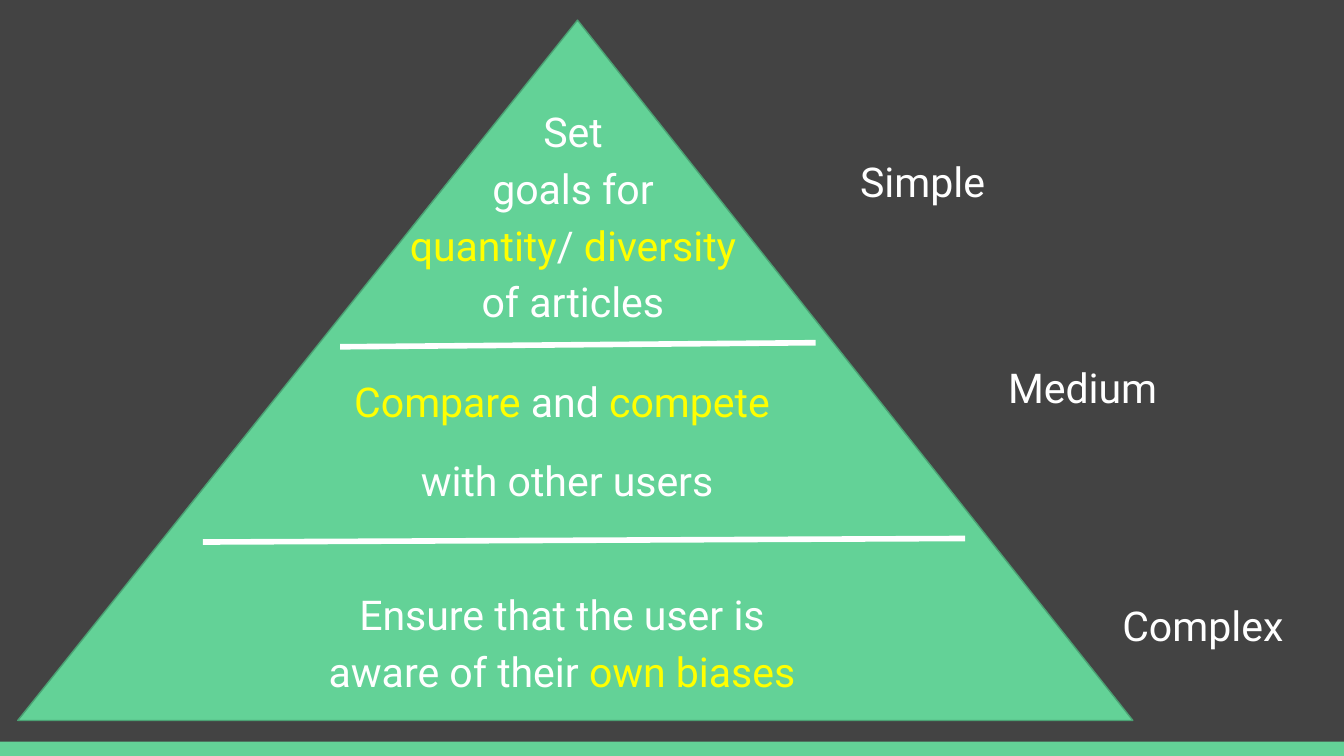
from lxml import etree
from pptx import Presentation
from pptx.dml.color import RGBColor
from pptx.enum.shapes import MSO_CONNECTOR, MSO_SHAPE
from pptx.enum.text import MSO_ANCHOR, PP_ALIGN
from pptx.oxml.ns import qn
from pptx.util import Pt

RECTANGLE, TRIANGLE = MSO_SHAPE.RECTANGLE, MSO_SHAPE.ISOSCELES_TRIANGLE
STRAIGHT = MSO_CONNECTOR.STRAIGHT
TOP, CENTER = MSO_ANCHOR.TOP, PP_ALIGN.CENTER

DARK = RGBColor(0x43, 0x43, 0x43)
GREEN = RGBColor(0x63, 0xD2, 0x97)
EDGE = RGBColor(0x4B, 0xA1, 0x73)
WHITE = RGBColor(0xFF, 0xFF, 0xFF)
YELLOW = RGBColor(0xFF, 0xFF, 0x00)

WIDTH, HEIGHT = 720, 405
FOOTER_HEIGHT = 7.7
PYRAMID = (9.5, 10.8, 597.4, 375.2)
APEX = 0.502
INSET = 7.2
FONT, FONT_SIZE = "Roboto", 22

TIERS = [
    ((170, 46.1, 279.4, 131), 1.15, 0, [
        [("Set ", WHITE)],
        [("goals for ", WHITE)],
        [("quantity", YELLOW), ("/ ", WHITE), ("diversity ", YELLOW)],
        [("of articles ", WHITE)],
    ]),
    ((90.7, 194.4, 426.2, 74.2), 1.0, 16, [
        [("Compare ", YELLOW), ("and ", WHITE), ("compete ", YELLOW)],
        [("with other users", WHITE)],
    ]),
    ((90.7, 304.6, 426.2, 74.2), 1.15, 0, [
        [("Ensure that the user is ", WHITE)],
        [("aware of their ", WHITE), ("own biases ", YELLOW)],
    ]),
]
LEVELS = [
    ("Simple", (437, 72.7, 114.5, 38.9)),
    ("Medium", (522.7, 182.9, 114.5, 38.9)),
    ("Complex", (582.5, 310.3, 123.8, 38.9)),
]
DIVIDERS = [
    (182.2, 185.8, 437, 183.6),
    (108.7, 290.4, 517, 288.5),
]


def points(values):
    return [Pt(value) for value in values]


def add_solid(slide, kind, place):
    solid = slide.shapes.add_shape(kind, *points(place))
    solid.shadow.inherit = False
    solid.fill.solid()
    solid.fill.fore_color.rgb = GREEN
    solid.line.fill.background()
    return solid


def add_text(slide, place, spacing, after, paragraphs):
    frame = slide.shapes.add_textbox(*points(place)).text_frame
    frame.word_wrap = True
    frame.vertical_anchor = TOP
    frame.margin_left = frame.margin_right = Pt(INSET)
    frame.margin_top = frame.margin_bottom = Pt(INSET)
    for index, words in enumerate(paragraphs):
        paragraph = frame.add_paragraph() if index else frame.paragraphs[0]
        paragraph.alignment = CENTER
        paragraph.line_spacing = spacing
        paragraph.space_after = Pt(after)
        for wording, color in words:
            run = paragraph.add_run()
            run.text = wording
            run.font.name = FONT
            run.font.size = Pt(FONT_SIZE)
            run.font.color.rgb = color


def add_divider(slide, ends):
    divider = slide.shapes.add_connector(STRAIGHT, *points(ends))
    divider.line.color.rgb = WHITE
    divider.line.width = Pt(3)
    etree.SubElement(divider._element.spPr, qn("a:effectLst"))


def main():
    deck = Presentation()
    deck.slide_width, deck.slide_height = Pt(WIDTH), Pt(HEIGHT)
    slide = deck.slides.add_slide(deck.slide_layouts[6])
    slide.background.fill.solid()
    slide.background.fill.fore_color.rgb = DARK

    add_solid(slide, RECTANGLE, (0, HEIGHT - FOOTER_HEIGHT, WIDTH, FOOTER_HEIGHT))
    pyramid = add_solid(slide, TRIANGLE, PYRAMID)
    pyramid.adjustments[0] = APEX
    pyramid.line.color.rgb = EDGE
    pyramid.line.width = Pt(0.75)

    for ends in DIVIDERS:
        add_divider(slide, ends)
    for tier in TIERS:
        add_text(slide, *tier)
    for level, place in LEVELS:
        add_text(slide, place, 1.15, 0, [[(level, WHITE)]])

    deck.save("out.pptx")


if __name__ == "__main__":
    main()
